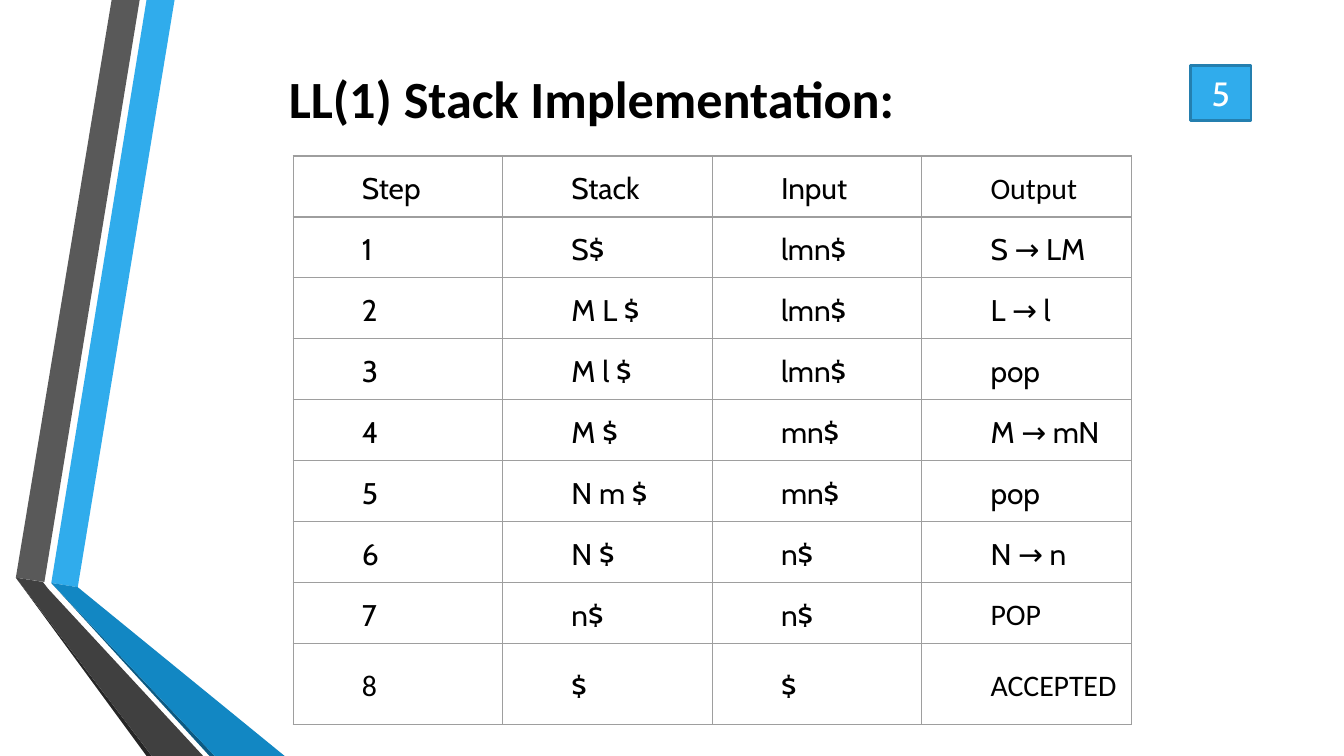
from lxml import etree
from pptx import Presentation
from pptx.dml.color import RGBColor
from pptx.enum import shapes, text
from pptx.oxml import ns
from pptx.util import Cm, Pt

ROWS = [
    ("Step", "Stack", "Input", "Output"),
    ("1", "S$", "lmn$", "S → LM"),
    ("2", "M L $", "lmn$", "L → l"),
    ("3", "M l $", "lmn$", "pop"),
    ("4", "M $", "mn$", "M → mN"),
    ("5", "N m $", "mn$", "pop"),
    ("6", "N $", "n$", "N → n"),
    ("7", "n$", "n$", "POP"),
    ("8", "$", "$", "ACCEPTED"),
]
PLAIN = {"Output", "POP", "8", "ACCEPTED"}

BANDS = [
    ("30ACEC", [(0.97, 11.02), (1.47, 11.1), (3.3, 0), (2.77, 0)]),
    ("595959", [(2.64, 0), (2.11, 0), (0.3, 10.92), (0.84, 11)]),
    ("262626", [(0.3, 10.92), (2.77, 14.29), (2.87, 14.29)]),
    ("0C5A82", [(0.97, 11.02), (3.96, 14.29), (4.06, 14.29)]),
    ("1287C3", [(0.97, 11.02), (4.06, 14.29), (5.38, 14.29), (1.47, 11.1)]),
    ("404040", [(3.84, 14.29), (0.91, 11.13), (0.81, 11), (0.3, 10.92),
                (2.87, 14.29)]),
]


def paint(code):
    return RGBColor.from_string(code)


def write(frame, words, size=16, font="Cabin", color="000000", bold=False,
          align=None, indent=0, line=None, after=None):
    frame.word_wrap = True
    para = frame.paragraphs[0]
    para.alignment = align
    para.line_spacing = line
    if after:
        para.space_after = Pt(after)
    if indent:
        para._p.get_or_add_pPr().set("marL", str(Cm(indent)))
    run = para.add_run()
    run.text = words
    run.font.size = Pt(size)
    run.font.name = font
    run.font.bold = bold
    run.font.color.rgb = paint(color)


def edge(cell, color, width):
    props = cell._tc.get_or_add_tcPr()
    for side in ("lnL", "lnR", "lnT", "lnB"):
        line = etree.SubElement(props, ns.qn(f"a:{side}"), w=str(Pt(width)))
        fill = etree.SubElement(line, ns.qn("a:solidFill"))
        etree.SubElement(fill, ns.qn("a:srgbClr"), val=color)


def ribbon(slide, left, top):
    for color, dots in BANDS:
        spots = [(Cm(left + x), Cm(top + y)) for x, y in dots]
        pen = slide.shapes.build_freeform(*spots[0])
        pen.add_line_segments(spots[1:], close=True)
        band = pen.convert_to_shape()
        band.shadow.inherit = False
        band.fill.solid()
        band.fill.fore_color.rgb = paint(color)
        band.line.fill.background()


def grid(slide, left, top, width, height, last):
    count = len(ROWS)
    table = slide.shapes.add_table(count, len(ROWS[0]), Cm(left), Cm(top),
                                   Cm(width), Cm(height)).table
    table.first_row = table.horz_banding = False
    for row in table.rows:
        row.height = Cm((height - last) / (count - 1))
    table.rows[count - 1].height = Cm(last)
    for r, row in enumerate(ROWS):
        for c, words in enumerate(row):
            cell = table.cell(r, c)
            edge(cell, "9E9E9E", 0.75)
            cell.fill.background()
            cell.vertical_anchor = text.MSO_ANCHOR.MIDDLE
            cell.margin_left = cell.margin_right = Cm(0.03)
            cell.margin_top = cell.margin_bottom = Cm(0.03)
            write(cell.text_frame, words, indent=1.27, line=1.15,
                  font="Calibri" if words in PLAIN else "Cabin",
                  after=8 if c == 3 else None)


def title(slide, left, top, width, height):
    box = slide.shapes.add_textbox(Cm(left), Cm(top), Cm(width), Cm(height))
    box.text_frame.vertical_anchor = text.MSO_ANCHOR.MIDDLE
    write(box.text_frame, "LL(1) Stack Implementation:", size=28,
          font="Calibri", bold=True)


def badge(slide, left, top, width, height):
    box = slide.shapes.add_shape(shapes.MSO_SHAPE.RECTANGLE, Cm(left), Cm(top),
                                 Cm(width), Cm(height))
    box.shadow.inherit = False
    box.fill.solid()
    box.fill.fore_color.rgb = paint("30ACEC")
    box.line.color.rgb = paint("247FAF")
    box.line.width = Pt(1.25)
    box.text_frame.vertical_anchor = text.MSO_ANCHOR.MIDDLE
    write(box.text_frame, "5", size=18, color="FFFFFF",
          align=text.PP_ALIGN.CENTER)


def main():
    deck = Presentation()
    deck.slide_width, deck.slide_height = Cm(25.4), Cm(14.29)
    slide = deck.slides.add_slide(deck.slide_layouts[6])
    ribbon(slide, 0, 0)
    grid(slide, 5.54, 2.95, 15.84, 10.74, last=1.53)
    title(slide, 5.21, 1.07, 17.63, 1.57)
    badge(slide, 22.5, 1.24, 1.14, 1.04)
    deck.save("out.pptx")


if __name__ == "__main__":
    main()
